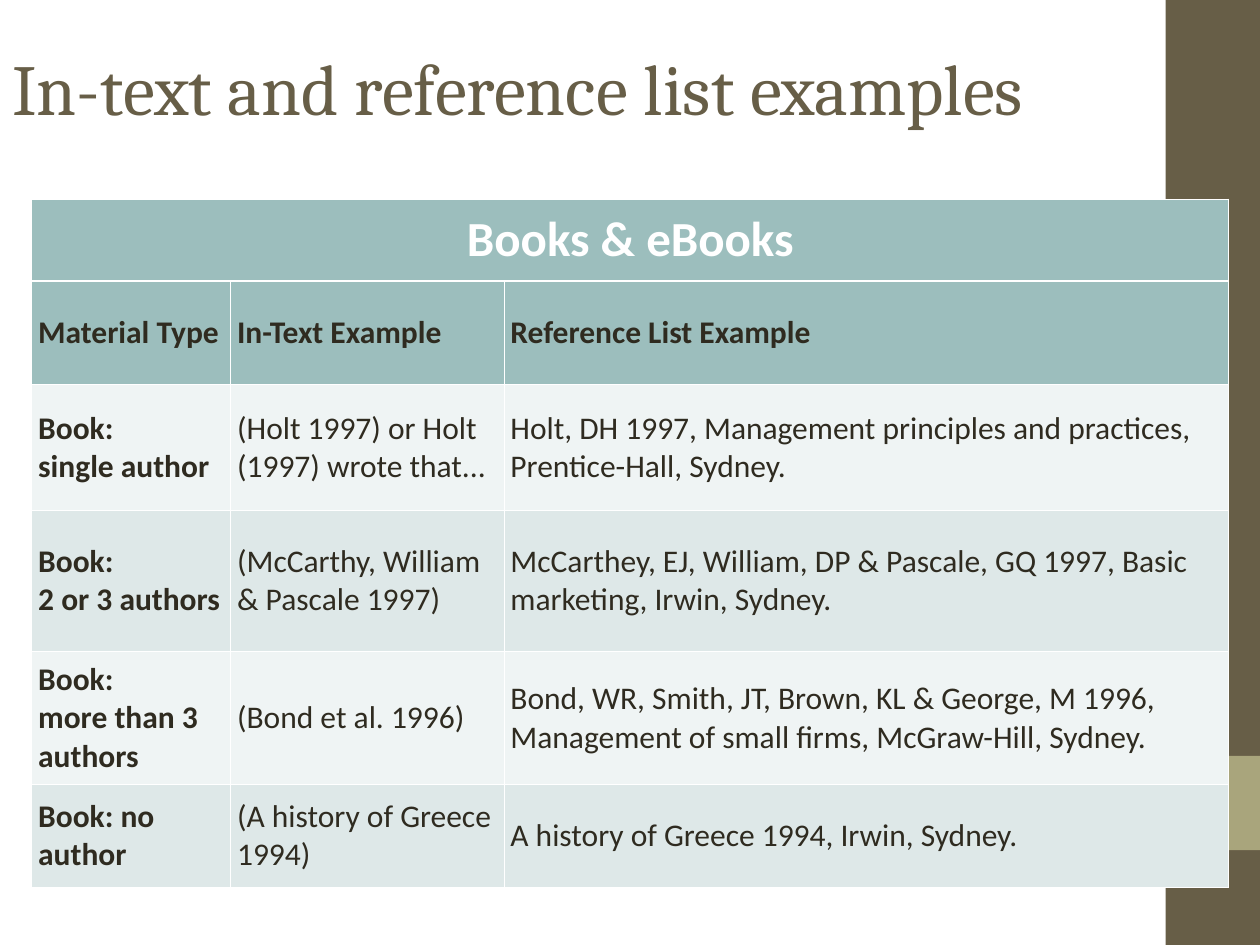
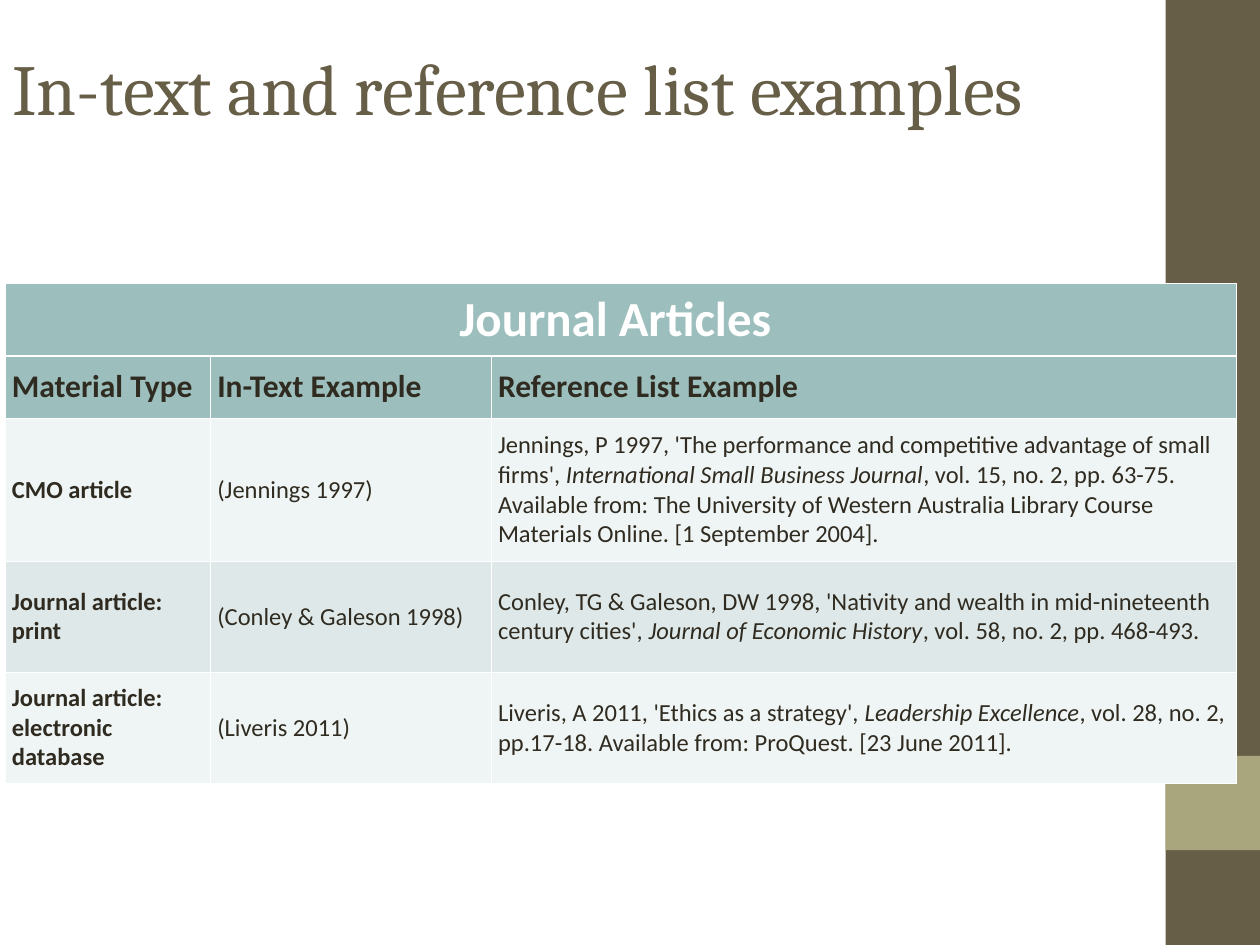
from dataclasses import dataclass

from lxml import etree
from pptx import Presentation
from pptx import util as u
from pptx.dml.color import RGBColor
from pptx.enum import shapes, text
from pptx.oxml.ns import qn

# Shared look
OLIVE, SAGE = "675E47", "A9A57C"
TEAL, PALE, MIST = "9CBEBD", "EFF4F4", "DEE8E8"
INK, WHITE = "2F2B20", "FFFFFF"
SERIF, SANS = "Cambria", "Calibri"
TITLE = "In-text and reference list examples"
HEADS = ("Material Type", "In-Text Example", "Reference List Example")
THIN, THICK = 0.45, 1.47


@dataclass
class Band:
    top: float
    high: float
    fill: str


@dataclass
class Grid:
    """Places and sizes in cm; asterisks in the rows enclose italics."""
    name: str
    left: float
    top: float
    cols: tuple[float, ...]
    highs: tuple[float, ...]
    size: int
    rows: tuple[tuple[str, str, str], ...]


BANDS = (Band(0, 19.05, OLIVE), Band(15.24, 1.9, SAGE))

BOOKS = Grid(
    "Books & eBooks", 0.64, 4.01, (4.01, 5.51, 14.61),
    (1.66, 2.08, 2.54, 2.84, 2.69, 2.06), 18,
    (
        ("Book:\nsingle author",
         "(Holt 1997) or Holt (1997) wrote that...",
         "Holt, DH 1997, Management principles and practices, "
         "Prentice-Hall, Sydney."),
        ("Book:\n2 or 3 authors",
         "(McCarthy, William & Pascale 1997)",
         "McCarthey, EJ, William, DP & Pascale, GQ 1997, Basic marketing, "
         "Irwin, Sydney."),
        ("Book:\nmore than 3 authors",
         "(Bond et al. 1996)",
         "Bond, WR, Smith, JT, Brown, KL & George, M 1996, Management of "
         "small firms, McGraw-Hill, Sydney."),
        ("Book: no author",
         "(A history of Greece 1994)",
         "A history of Greece 1994, Irwin, Sydney."),
    ))

PAPERS = Grid(
    "Journal Articles ", 0.11, 5.72, (4.14, 5.66, 15.01),
    (1.45, 1.27, 2.87, 2.24, 2.24), 14,
    (
        ("CMO article",
         "(Jennings 1997)",
         "Jennings, P 1997, 'The performance and competitive advantage of "
         "small firms', *International Small Business Journal*, vol. 15, "
         "no. 2, pp. 63-75. Available from: The University of Western "
         "Australia Library Course Materials Online. [1 September 2004]."),
        ("Journal article: print",
         "(Conley & Galeson 1998)",
         "Conley, TG & Galeson, DW 1998, 'Nativity and wealth in "
         "mid-nineteenth century cities', *Journal of Economic History*, "
         "vol. 58, no. 2, pp. 468-493."),
        ("Journal article: electronic database",
         "(Liveris 2011)",
         "Liveris, A 2011, 'Ethics as a strategy', *Leadership Excellence*, "
         "vol. 28, no. 2, pp.17-18. Available from: ProQuest. "
         "[23 June 2011]."),
    ))


def color(code: str) -> RGBColor:
    return RGBColor.from_string(code)


def style(font, face: str, size: int, code: str, bold: bool = False) -> None:
    font.name, font.size, font.bold = face, u.Pt(size), bold
    font.color.rgb = color(code)


def add_band(slide, band: Band) -> None:
    bar = slide.shapes.add_shape(
        shapes.MSO_SHAPE.RECTANGLE, u.Cm(23.5), u.Cm(band.top),
        u.Cm(1.9), u.Cm(band.high))
    bar.shadow.inherit = False
    bar.fill.solid()
    bar.fill.fore_color.rgb = color(band.fill)
    bar.line.fill.background()


def add_title(slide) -> None:
    box = slide.shapes.add_textbox(u.Cm(0), u.Cm(0.84), u.Cm(22.86), u.Cm(3.48))
    frame = box.text_frame
    frame.word_wrap = True
    frame.margin_top = u.Cm(0.05)
    frame.text = TITLE
    style(frame.paragraphs[0].runs[0].font, SERIF, 41, OLIVE)


def add_edges(cell, top: float, base: float) -> None:
    props = cell._tc.get_or_add_tcPr()
    for side, width in (("L", THIN), ("R", THIN), ("T", top), ("B", base)):
        line = etree.SubElement(props, qn(f"a:ln{side}"), w=str(u.Pt(width)))
        fill = etree.SubElement(line, qn("a:solidFill"))
        etree.SubElement(fill, qn("a:srgbClr"), val=WHITE)


def fill_cell(cell, words: str, size: int, code: str, bold: bool) -> None:
    cell.vertical_anchor = text.MSO_ANCHOR.MIDDLE
    cell.margin_left = cell.margin_right = u.Cm(0.13)
    cell.margin_top = cell.margin_bottom = u.Cm(0.13)
    frame = cell.text_frame
    parts = words.split("*")
    frame.text = parts[0]
    for part in parts[1:]:
        frame.paragraphs[-1].add_run().text = part
    for para in frame.paragraphs:
        for num, run in enumerate(para.runs):
            style(run.font, SANS, size, code, bold)
            run.font.italic = num % 2 == 1


def add_grid(slide, grid: Grid) -> None:
    rows = ((grid.name, "", ""), HEADS, *grid.rows)
    table = slide.shapes.add_table(
        len(rows), len(grid.cols), u.Cm(grid.left), u.Cm(grid.top),
        u.Cm(sum(grid.cols)), u.Cm(sum(grid.highs))).table
    table.first_row = table.horz_banding = False
    for col, width in zip(table.columns, grid.cols):
        col.width = u.Cm(width)
    for row, high in zip(table.rows, grid.highs):
        row.height = u.Cm(high)

    # Two header rows, then alternating body rows
    for r, row in enumerate(rows):
        size = (28, 18)[r] if r < 2 else grid.size
        back = TEAL if r < 2 else (PALE, MIST)[r % 2]
        for c, words in enumerate(row):
            cell = table.cell(r, c)
            add_edges(cell, THICK if r == 1 else THIN, THICK if r == 0 else THIN)
            cell.fill.solid()
            cell.fill.fore_color.rgb = color(back)
            fill_cell(cell, words, size, INK if r else WHITE, r < 2 or c == 0)

    # The name spans the whole width
    head = table.cell(0, 0)
    head.merge(table.cell(0, len(grid.cols) - 1))
    head.text_frame.paragraphs[0].alignment = text.PP_ALIGN.CENTER


def main() -> None:
    deck = Presentation()
    deck.slide_width, deck.slide_height = u.Cm(25.4), u.Cm(19.05)
    for grid in (BOOKS, PAPERS):
        slide = deck.slides.add_slide(deck.slide_layouts[6])
        for band in BANDS:
            add_band(slide, band)
        add_title(slide)
        add_grid(slide, grid)
    deck.save("out.pptx")


if __name__ == "__main__":
    main()
